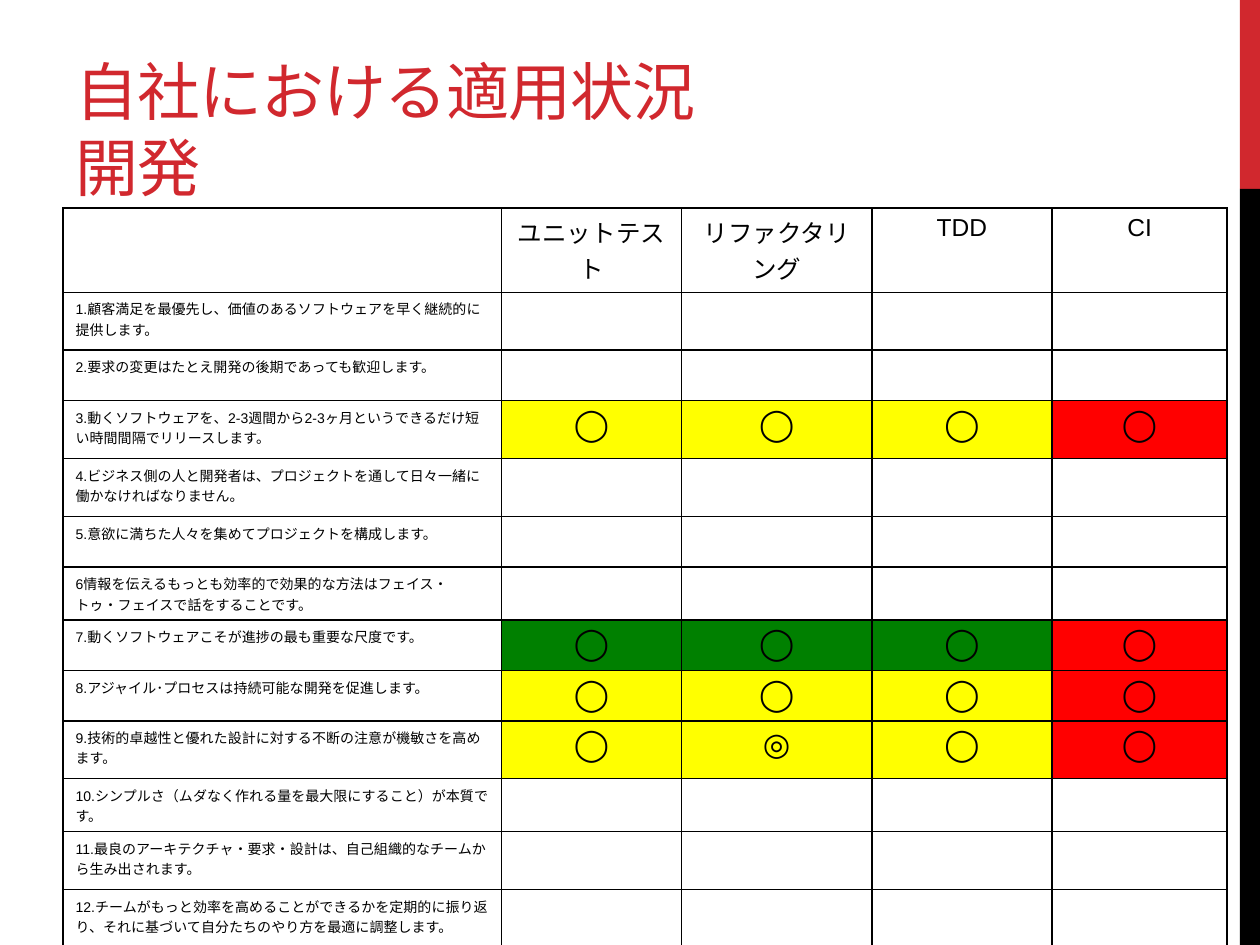
import dataclasses
import typing

import lxml.etree
import pptx
import pptx.dml.color
import pptx.enum.shapes
import pptx.enum.text
import pptx.oxml.ns
import pptx.util

Inches = pptx.util.Inches
Pt = pptx.util.Pt
ALIGN = pptx.enum.text.PP_ALIGN

RED_ACCENT, BLACK = "D1282E", "000000"
YELLOW, GREEN, RED = "FFFF00", "008000", "FF0000"


@dataclasses.dataclass
class Band:
    top: float
    height: float
    color: str


@dataclasses.dataclass
class Principle:
    text: str
    height: float
    marks: str = ""
    fill: str = ""


BANDS = [Band(0, 1.5, RED_ACCENT), Band(1.5, 6, BLACK)]
TITLE_LINES = ["自社における適用状況", "開発"]
PRACTICES = ["ユニットテスト", "リファクタリング", "TDD", "CI"]
COLUMN_WIDTHS = [3.48, 1.43, 1.51, 1.43, 1.39]
HEADER_HEIGHT = 0.67
PRINCIPLES = [
    Principle("1.顧客満足を最優先し、価値のあるソフトウェアを早く継続的に提供します。", 0.46),
    Principle("2.要求の変更はたとえ開発の後期であっても歓迎します。", 0.39),
    Principle("3.動くソフトウェアを、2-3週間から2-3ヶ月というできるだけ短い時間間隔でリリースします。",
              0.46, "◯◯◯◯", YELLOW),
    Principle("4.ビジネス側の人と開発者は、プロジェクトを通して日々一緒に働かなければなりません。", 0.46),
    Principle("5.意欲に満ちた人々を集めてプロジェクトを構成します。", 0.38),
    Principle("6情報を伝えるもっとも効率的で効果的な方法はフェイス•トゥ•フェイスで話をすることです。", 0.42),
    Principle("7.動くソフトウェアこそが進捗の最も重要な尺度です。", 0.39, "◯◯◯◯", GREEN),
    Principle("8.アジャイル･プロセスは持続可能な開発を促進します。", 0.38, "◯◯◯◯", YELLOW),
    Principle("9.技術的卓越性と優れた設計に対する不断の注意が機敏さを高めます。",
              0.46, "◯◎◯◯", YELLOW),
    Principle("10.シンプルさ（ムダなく作れる量を最大限にすること）が本質です。", 0.42),
    Principle("11.最良のアーキテクチャ•要求•設計は、自己組織的なチームから生み出されます。", 0.46),
    Principle("12.チームがもっと効率を高めることができるかを定期的に振り返り、"
              "それに基づいて自分たちのやり方を最適に調整します。", 0.58),
]


def rgb(color: str) -> pptx.dml.color.RGBColor:
    return pptx.dml.color.RGBColor.from_string(color)


def add_span(para: typing.Any, text: str, size: float, font: str, color: str) -> typing.Any:
    span = para.add_run()
    span.text = text
    span.font.size = Pt(size)
    span.font.name = font
    span.font.color.rgb = rgb(color)
    return span


def add_band(page: typing.Any, band: Band) -> None:
    shape = page.shapes.add_shape(
        pptx.enum.shapes.MSO_SHAPE.RECTANGLE,
        Inches(9.84), Inches(band.top), Inches(0.16), Inches(band.height))
    shape.shadow.inherit = False
    shape.fill.solid()
    shape.fill.fore_color.rgb = rgb(band.color)
    shape.line.fill.background()


def add_title(page: typing.Any, lines: list[str]) -> None:
    box = page.shapes.add_textbox(Inches(0.5), Inches(0.17), Inches(6.33), Inches(1.5))
    frame = box.text_frame
    frame.word_wrap = True
    frame.vertical_anchor = pptx.enum.text.MSO_ANCHOR.BOTTOM
    para = frame.paragraphs[0]
    for index, line in enumerate(lines):
        if index:
            para.add_line_break()
        span = add_span(para, line, 36, "Montserrat", RED_ACCENT)
        span.font._element.set("spc", "-60")


def set_borders(cell: typing.Any) -> None:
    properties = cell._tc.get_or_add_tcPr()
    qn = pptx.oxml.ns.qn
    for index, side in enumerate(("lnL", "lnR", "lnT", "lnB")):
        line = lxml.etree.Element(qn(f"a:{side}"), w=str(Pt(1)))
        fill = lxml.etree.SubElement(line, qn("a:solidFill"))
        lxml.etree.SubElement(fill, qn("a:srgbClr"), val=BLACK)
        properties.insert(index, line)


def fill_cell(cell: typing.Any, text: str = "", size: float = 18,
              centered: bool = True, fill: str = "") -> None:
    if fill:
        cell.fill.solid()
        cell.fill.fore_color.rgb = rgb(fill)
    else:
        cell.fill.background()
    set_borders(cell)
    if text:
        para = cell.text_frame.paragraphs[0]
        para.alignment = ALIGN.CENTER if centered else ALIGN.LEFT
        add_span(para, text, size, "Arial", BLACK)


def add_matrix(page: typing.Any) -> None:
    heights = [HEADER_HEIGHT] + [principle.height for principle in PRINCIPLES]
    table = page.shapes.add_table(
        len(heights), len(COLUMN_WIDTHS), Inches(0.5), Inches(1.65),
        Inches(sum(COLUMN_WIDTHS)), Inches(sum(heights))).table
    table.first_row = False
    table.horz_banding = False
    for column, width in zip(table.columns, COLUMN_WIDTHS):
        column.width = Inches(width)
    for row, height in zip(table.rows, heights):
        row.height = Inches(height)

    # Header row
    for index, practice in enumerate([""] + PRACTICES):
        fill_cell(table.cell(0, index), practice, 14)

    # One row per principle; the CI column is always red when marked
    for row, principle in enumerate(PRINCIPLES, start=1):
        fill_cell(table.cell(row, 0), principle.text, 8, centered=False)
        for column, practice in enumerate(PRACTICES, start=1):
            mark = principle.marks[column - 1:column]
            fill = RED if mark and practice == "CI" else principle.fill
            fill_cell(table.cell(row, column), mark, fill=fill)


def main() -> None:
    deck = pptx.Presentation()
    deck.slide_width, deck.slide_height = Inches(10), Inches(7.5)
    page = deck.slides.add_slide(deck.slide_layouts[6])

    # Side bands, title and table
    for band in BANDS:
        add_band(page, band)
    add_title(page, TITLE_LINES)
    add_matrix(page)
    deck.save("out.pptx")


if __name__ == "__main__":
    main()
